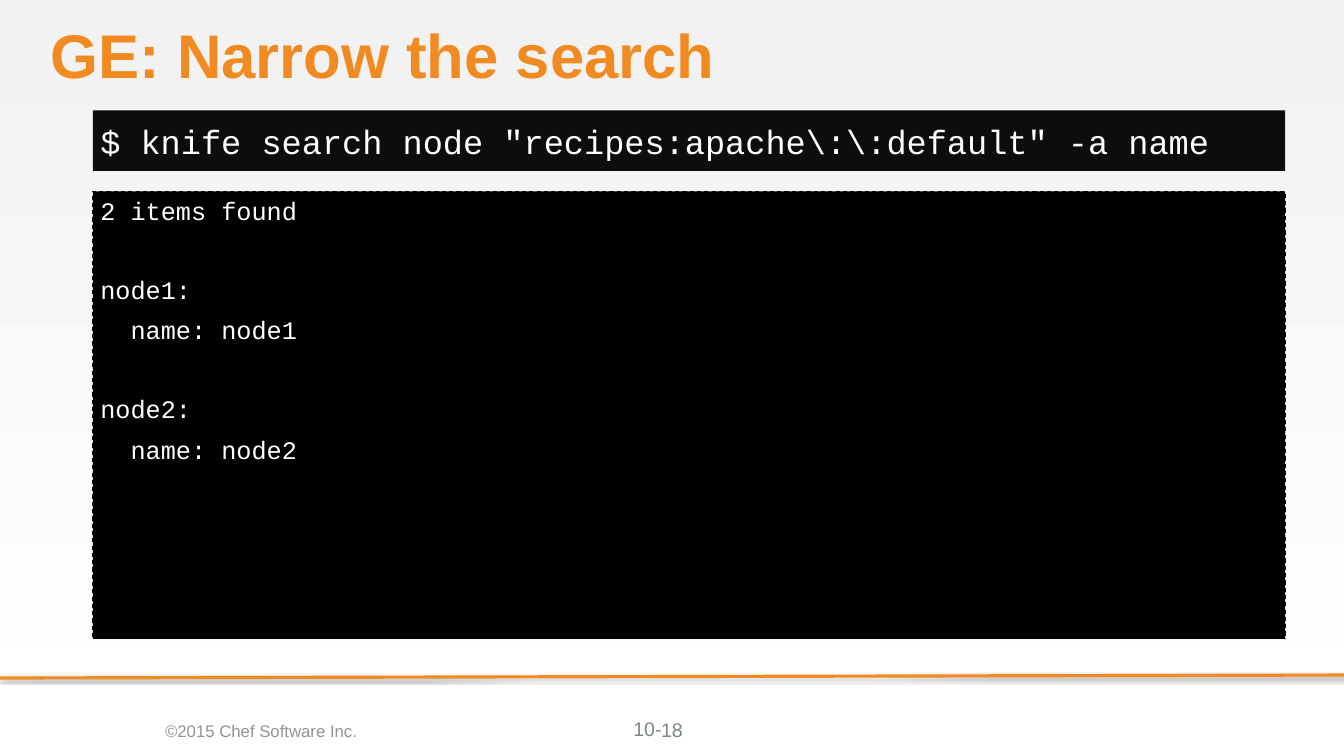
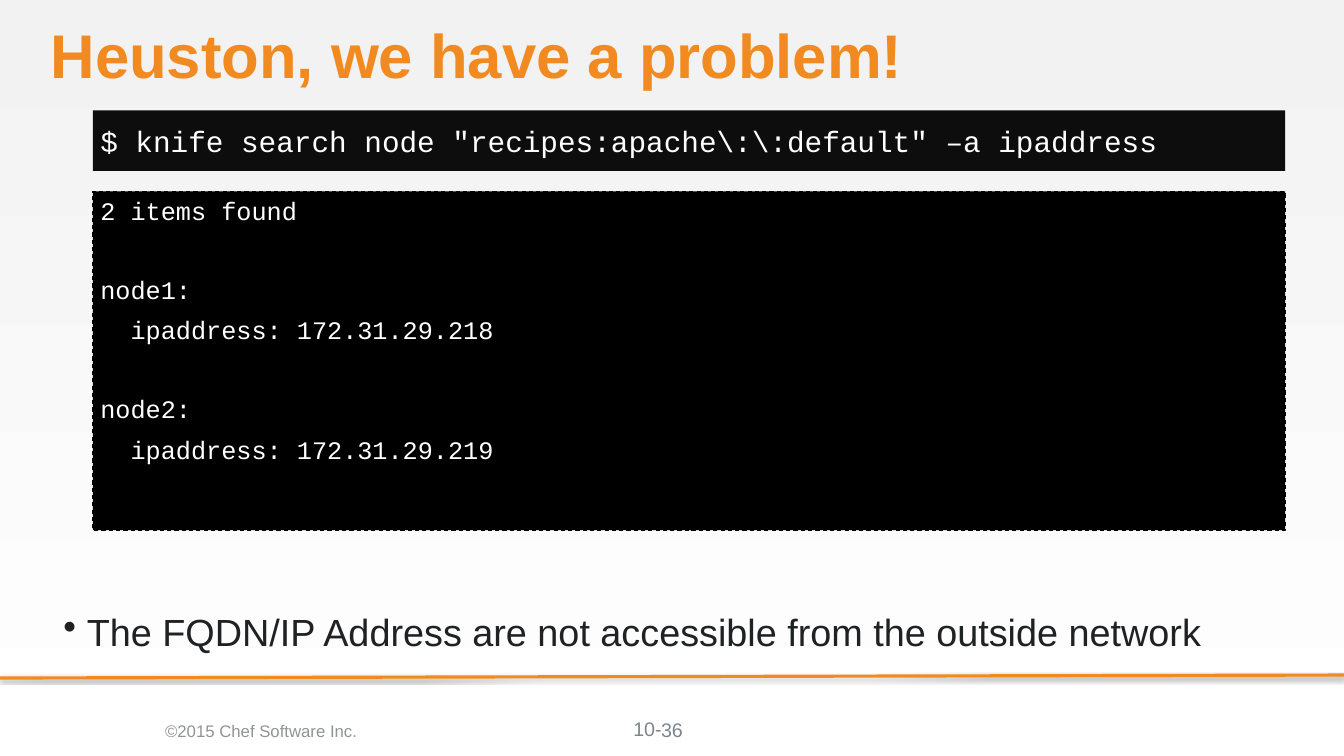
import pptx
import pptx.dml.color
import pptx.enum.dml
import pptx.enum.shapes
import pptx.enum.text
import pptx.oxml
import pptx.oxml.ns
import pptx.util

Cm = pptx.util.Cm
Pt = pptx.util.Pt
ALIGN = pptx.enum.text.PP_ALIGN
ANCHOR = pptx.enum.text.MSO_ANCHOR

SLIDE_WIDTH, SLIDE_HEIGHT = 45.16, 25.4
ORANGE, WHITE, BLACK = "F18B21", "FFFFFF", "000000"
COMMAND_FILL, NOTE_TEXT = "0D0D0D", "1F2223"
COPYRIGHT_GREY, NUMBER_GREY = "929494", "7D868C"
SANS, MONO = "Arial", "Courier New"
NO_INSETS = (0, 0, 0, 0)
DEFAULT_INSETS = (0.25, 0.13, 0.25, 0.13)

# Boxes are left, top, width, height in centimetres.
TITLE_BOX = (1.7, 0.84, 41.48, 2.31)
COMMAND_BOX = (3.12, 3.71, 40.06, 2.03)
CONSOLE_LEFT, CONSOLE_TOP, CONSOLE_WIDTH = 3.12, 6.43, 40.06
NOTE_BOX = (1.88, 19.41, 41.38, 3.61)
FOOTER_BOX = (0, 22.68, SLIDE_WIDTH, 2.72)

CODE_SIZE, CODE_SPACE = 24, 9.6
BLANK_LINE = 36.8

SHADOW_XML = (
    f'<a:effectLst {pptx.oxml.ns.nsdecls("a")}>'
    '<a:outerShdw blurRad="39370" dist="22860" dir="5400000" rotWithShape="0">'
    '<a:srgbClr val="000000"><a:alpha val="35000"/></a:srgbClr>'
    '</a:outerShdw></a:effectLst>'
)


def color(value):
    return pptx.dml.color.RGBColor.from_string(value)


def prepare_frame(shape, insets, anchor):
    frame = shape.text_frame
    frame.word_wrap = True
    frame.vertical_anchor = anchor
    left, top, right, bottom = insets
    frame.margin_left, frame.margin_top = Cm(left), Cm(top)
    frame.margin_right, frame.margin_bottom = Cm(right), Cm(bottom)
    return frame


def add_text_box(slide, box, insets=DEFAULT_INSETS, anchor=ANCHOR.MIDDLE):
    shape = slide.shapes.add_textbox(*map(Cm, box))
    return prepare_frame(shape, insets, anchor)


def add_panel(slide, box, fill, insets, anchor):
    shape = slide.shapes.add_shape(
        pptx.enum.shapes.MSO_SHAPE.RECTANGLE, *map(Cm, box))
    shape.shadow.inherit = False
    shape.fill.solid()
    shape.fill.fore_color.rgb = color(fill)
    shape.line.fill.background()
    return shape, prepare_frame(shape, insets, anchor)


def write(paragraph, text, size, text_color, font=SANS, bold=False, align=ALIGN.LEFT):
    paragraph.alignment = align
    run = paragraph.add_run()
    run.text = text
    run.font.name = font
    run.font.size = Pt(size)
    run.font.bold = bold
    run.font.color.rgb = color(text_color)


def set_background(master):
    fill = master.background.fill
    fill.gradient()
    fill.gradient_angle = 270
    for stop, value in zip(fill.gradient_stops, ("F2F2F2", WHITE)):
        stop.color.rgb = color(value)


def add_title(slide, box, text):
    paragraph = add_text_box(slide, box, NO_INSETS, ANCHOR.TOP).paragraphs[0]
    paragraph.line_spacing = 0.9
    write(paragraph, text, 58.7, ORANGE, bold=True)


def add_command(slide, box, text, size):
    _, frame = add_panel(slide, box, COMMAND_FILL, (0.25, 0, 0, 0), ANCHOR.MIDDLE)
    write(frame.paragraphs[0], text, size, WHITE, MONO)


def add_console(slide, box, blocks):
    """Show blocks of output lines, one line's height apart."""
    shape, frame = add_panel(slide, box, BLACK, DEFAULT_INSETS, ANCHOR.TOP)
    shape.line.color.rgb = color(BLACK)
    shape.line.width = Pt(1)
    shape.line.dash_style = pptx.enum.dml.MSO_LINE.DASH
    for block_index, block in enumerate(blocks):
        for line_index, text in enumerate(block):
            if block_index == line_index == 0:
                paragraph = frame.paragraphs[0]
            else:
                paragraph = frame.add_paragraph()
                gap = BLANK_LINE if line_index == 0 else 0
                paragraph.space_before = Pt(CODE_SPACE + gap)
            write(paragraph, text, CODE_SIZE, WHITE, MONO)


def add_note(slide, box, text):
    paragraph = add_text_box(slide, box).paragraphs[0]
    properties = paragraph._p.get_or_add_pPr()
    indent = Cm(0.79)
    properties.set("marL", str(indent))
    properties.set("indent", str(-indent))
    properties.append(pptx.oxml.parse_xml(
        f'<a:buChar {pptx.oxml.ns.nsdecls("a")} char="•"/>'))
    write(paragraph, text, 36, NOTE_TEXT)


def add_footer(slide, box, number):
    left, top, width, _ = box
    rule = slide.shapes.add_connector(
        pptx.enum.shapes.MSO_CONNECTOR.STRAIGHT,
        Cm(left + width), Cm(top), Cm(left), Cm(top + 0.1))
    rule.line.color.rgb = color(ORANGE)
    rule.line.width = Pt(3)
    rule._element.spPr.append(pptx.oxml.parse_xml(SHADOW_XML))

    chapter = add_text_box(
        slide, (left + 21.28, top + 1.42, 1.93, 0.79), NO_INSETS, ANCHOR.TOP)
    write(chapter.paragraphs[0], "10-", 18.7, NUMBER_GREY)
    copyright_line = add_text_box(slide, (left + 0.89, top + 1.15, 15.77, 1.42))
    write(copyright_line.paragraphs[0], "©2015 Chef Software Inc.", 16,
          COPYRIGHT_GREY, align=ALIGN.CENTER)
    page = add_text_box(slide, (left + 17.5, top + 1.15, 10.16, 1.35))
    write(page.paragraphs[0], number, 18.7, NUMBER_GREY, align=ALIGN.CENTER)


def add_search_slide(presentation, title, command, command_size,
                     console_height, attributes, number, note=None):
    slide = presentation.slides.add_slide(presentation.slide_layouts[6])
    add_footer(slide, FOOTER_BOX, number)
    blocks = [["2 items found"]]
    blocks += [[f"{node}:", f"  {value}"] for node, value in attributes.items()]
    add_console(slide, (CONSOLE_LEFT, CONSOLE_TOP, CONSOLE_WIDTH, console_height), blocks)
    add_title(slide, TITLE_BOX, title)
    add_command(slide, COMMAND_BOX, command, command_size)
    if note:
        add_note(slide, NOTE_BOX, note)


def main():
    presentation = pptx.Presentation()
    presentation.slide_width = Cm(SLIDE_WIDTH)
    presentation.slide_height = Cm(SLIDE_HEIGHT)
    set_background(presentation.slide_master)
    add_search_slide(
        presentation, "GE: Narrow the search",
        r'$ knife search node "recipes:apache\:\:default" -a name', 32, 15.04,
        {"node1": "name: node1", "node2": "name: node2"}, "18")
    add_search_slide(
        presentation, "Heuston, we have a problem!",
        r'$ knife search node "recipes:apache\:\:default" –a ipaddress', 28, 11.38,
        {"node1": "ipaddress: 172.31.29.218", "node2": "ipaddress: 172.31.29.219"}, "36",
        "The FQDN/IP Address are not accessible from the outside network")
    presentation.save("out.pptx")


if __name__ == "__main__":
    main()
